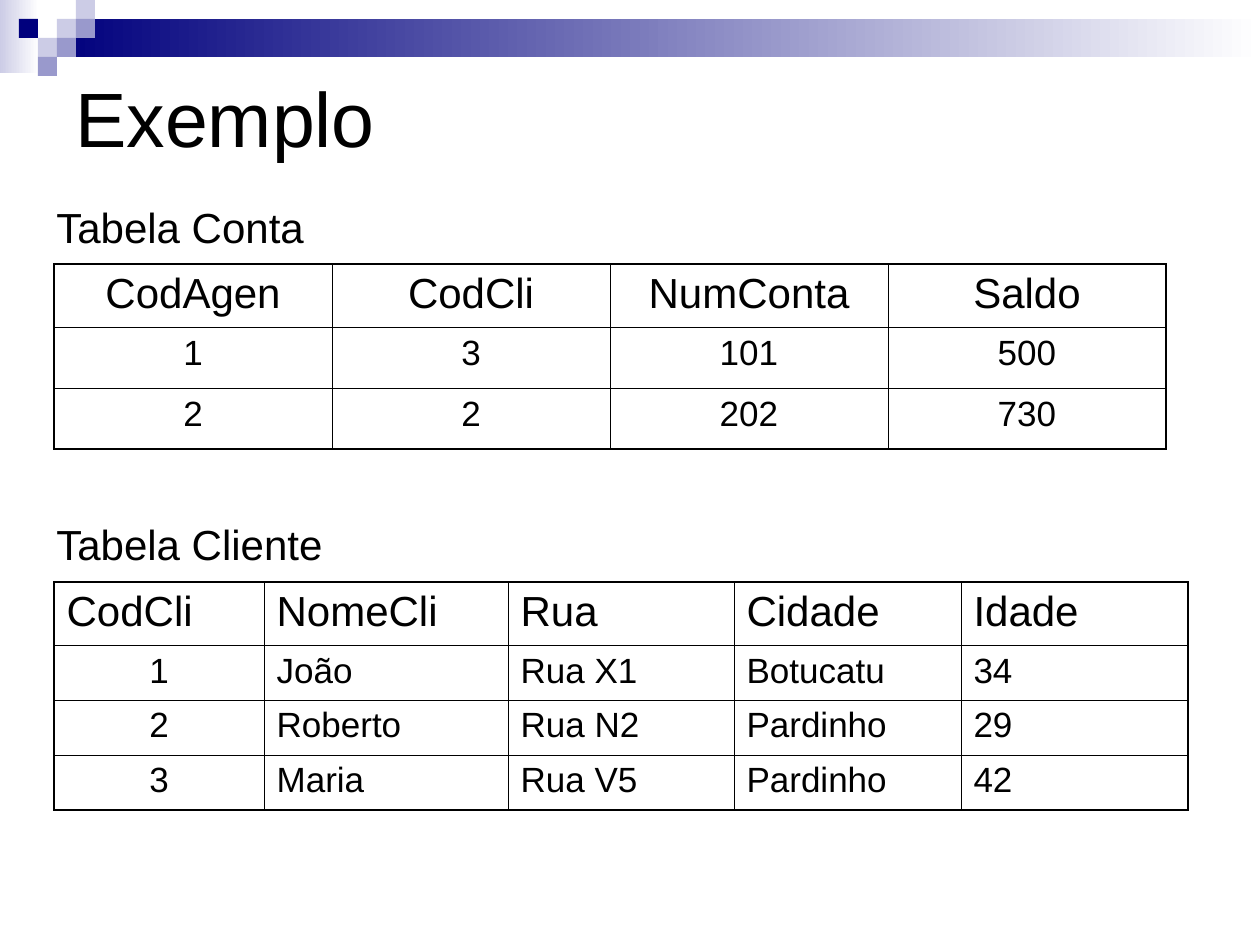
from dataclasses import dataclass

import pptx
import pptx.dml.color
import pptx.enum.shapes
import pptx.enum.text
import pptx.oxml
import pptx.oxml.ns
import pptx.util

SCALE = 914400 / 126  # EMU in one px
WIDE, HIGH = 1260, 945
BLACK, WHITE = "000000", "FFFFFF"
NAVY, BLUE, PALE = "00007D", "9999CC", "CCCCE6"
THIN, THICK = 0.45, 1.08
LEFT = pptx.enum.text.PP_ALIGN.LEFT
MID = pptx.enum.text.PP_ALIGN.CENTER


@dataclass
class Box:
    x: int
    y: int
    w: int
    h: int
    fills: tuple[str, ...]


@dataclass
class Label:
    text: str
    x: int
    y: int
    w: int
    h: int
    size: int
    anchor: str


@dataclass
class Grid:
    x: int
    y: int
    cols: list[int]
    rows: list[int]
    head_align: int
    aligns: list[int]
    data: list[list[str]]


def px(n: int) -> int:
    return round(n * SCALE)


def color(code: str) -> pptx.dml.color.RGBColor:
    return pptx.dml.color.RGBColor.from_string(code)


def write(frame, text: str, size: int, align: int) -> None:
    para = frame.paragraphs[0]
    para.alignment = align
    run = para.add_run()
    run.text = text
    style = {"name": "Arial", "size": pptx.util.Pt(size)}
    for key, value in style.items():
        setattr(run.font, key, value)
    run.font.color.rgb = color(BLACK)


def draw_box(slide, box: Box) -> None:
    kind = pptx.enum.shapes.MSO_SHAPE.RECTANGLE
    shape = slide.shapes.add_shape(kind, *map(px, (box.x, box.y, box.w, box.h)))
    shape.shadow.inherit = False
    shape.line.fill.background()
    if len(box.fills) == 1:
        shape.fill.solid()
        shape.fill.fore_color.rgb = color(box.fills[0])
        return
    shape.fill.gradient()
    shape.fill.gradient_angle = 0
    for stop, code in zip(shape.fill.gradient_stops, box.fills):
        stop.color.rgb = color(code)


def draw_label(slide, label: Label) -> None:
    place = map(px, (label.x, label.y, label.w, label.h))
    frame = slide.shapes.add_textbox(*place).text_frame
    anchor = getattr(pptx.enum.text.MSO_ANCHOR, label.anchor)
    for key, value in {"word_wrap": True, "vertical_anchor": anchor}.items():
        setattr(frame, key, value)
    write(frame, label.text, label.size, LEFT)


def draw_edges(cell, widths: dict[str, float]) -> None:
    props = cell._tc.get_or_add_tcPr()
    for pos, (side, width) in enumerate(widths.items()):
        line = pptx.oxml.parse_xml(
            f'<a:ln{side} {pptx.oxml.ns.nsdecls("a")} w="{pptx.util.Pt(width)}">'
            f'<a:solidFill><a:srgbClr val="{BLACK}"/></a:solidFill></a:ln{side}>'
        )
        props.insert(pos, line)


def draw_grid(slide, grid: Grid) -> None:
    place = map(px, (grid.x, grid.y, sum(grid.cols), sum(grid.rows)))
    last_row, last_col = len(grid.rows) - 1, len(grid.cols) - 1
    table = slide.shapes.add_table(last_row + 1, last_col + 1, *place).table
    for key in ("first_row", "horz_banding"):
        setattr(table, key, False)
    for col, width in zip(table.columns, grid.cols):
        col.width = px(width)
    for row, height in zip(table.rows, grid.rows):
        row.height = px(height)
    for r, texts in enumerate(grid.data):
        for c, text in enumerate(texts):
            cell = table.cell(r, c)
            cell.fill.background()
            size, align = (20, grid.aligns[c]) if r else (24, grid.head_align)
            write(cell.text_frame, text, size, align)
            outer = {"L": c == 0, "R": c == last_col, "T": r == 0, "B": r == last_row}
            draw_edges(cell, {s: THICK if out else THIN for s, out in outer.items()})


# Corner ornament: two fading bars and a checker of small squares
BARS = [Box(0, 0, 39, 73, (PALE, WHITE)), Box(57, 19, 1203, 38, (NAVY, WHITE))]
SIDE = 19
SQUARES = [
    (3, 1, PALE), (4, 0, PALE), (4, 1, BLUE), (2, 2, PALE),
    (1, 1, NAVY), (3, 2, BLUE), (2, 3, BLUE),
]
CHECKER = [Box(c * SIDE, r * SIDE, SIDE, SIDE, (code,)) for c, r, code in SQUARES]

LABELS = [
    Label("Exemplo", 63, 38, 1134, 157, 44, "MIDDLE"),
    Label("Tabela Conta", 44, 195, 476, 63, 24, "TOP"),
    Label("Tabela Cliente", 44, 512, 476, 63, 24, "TOP"),
]

GRIDS = [
    Grid(54, 264, [278] * 4, [63, 61, 61], MID, [MID] * 4, [
        ["CodAgen", "CodCli", "NumConta", "Saldo"],
        ["1", "3", "101", "500"],
        ["2", "2", "202", "730"],
    ]),
    Grid(54, 582, [210, 244, 226, 227, 227], [63, 55, 55, 55], LEFT, [MID] + [LEFT] * 4, [
        ["CodCli", "NomeCli", "Rua", "Cidade", "Idade"],
        ["1", "João", "Rua X1", "Botucatu", "34"],
        ["2", "Roberto", "Rua N2", "Pardinho", "29"],
        ["3", "Maria", "Rua V5", "Pardinho", "42"],
    ]),
]


def main() -> None:
    deck = pptx.Presentation()
    deck.slide_width, deck.slide_height = px(WIDE), px(HIGH)
    slide = deck.slides.add_slide(deck.slide_layouts[6])
    for box in BARS + CHECKER:
        draw_box(slide, box)
    for label in LABELS:
        draw_label(slide, label)
    for grid in GRIDS:
        draw_grid(slide, grid)
    deck.save("out.pptx")


if __name__ == "__main__":
    main()
